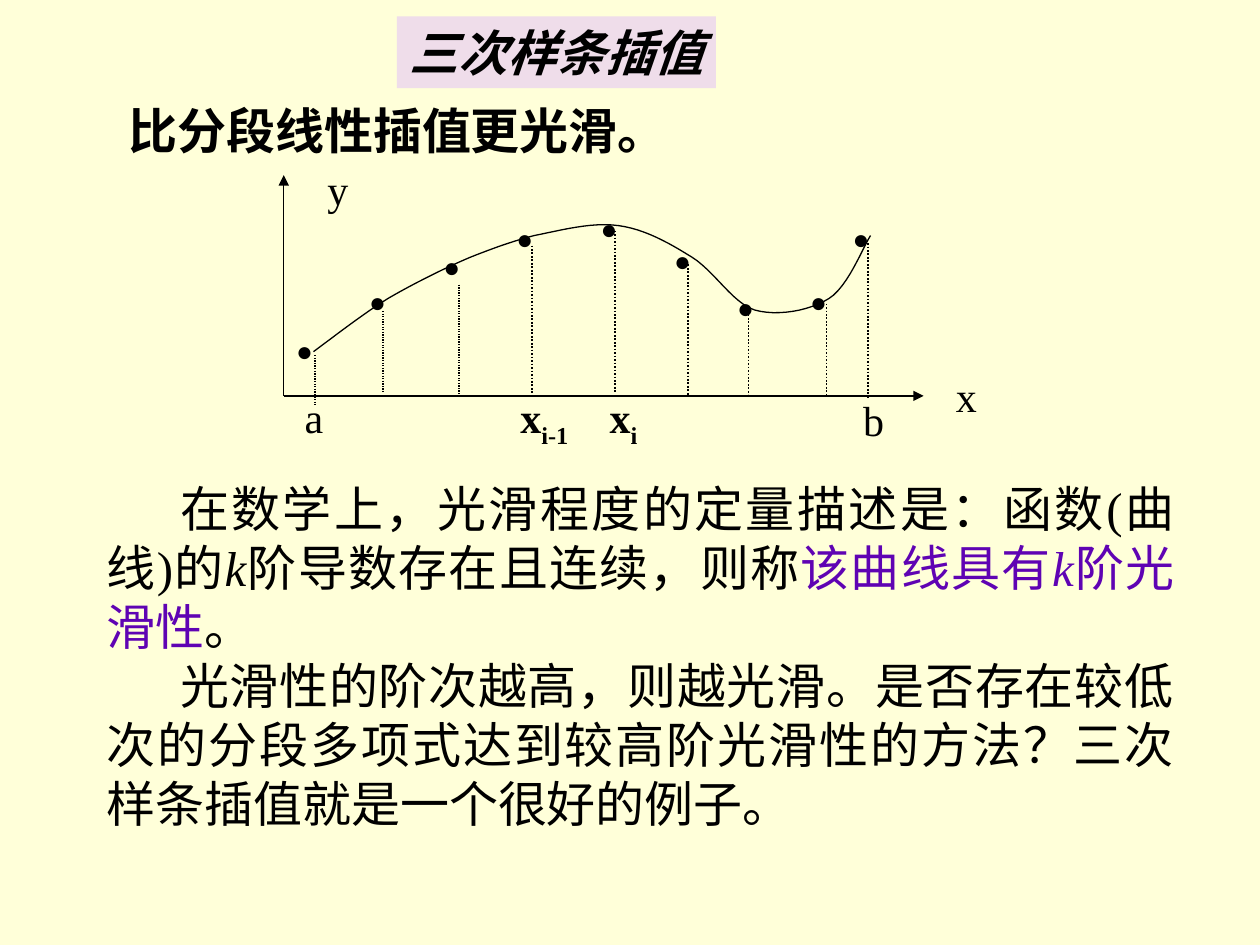
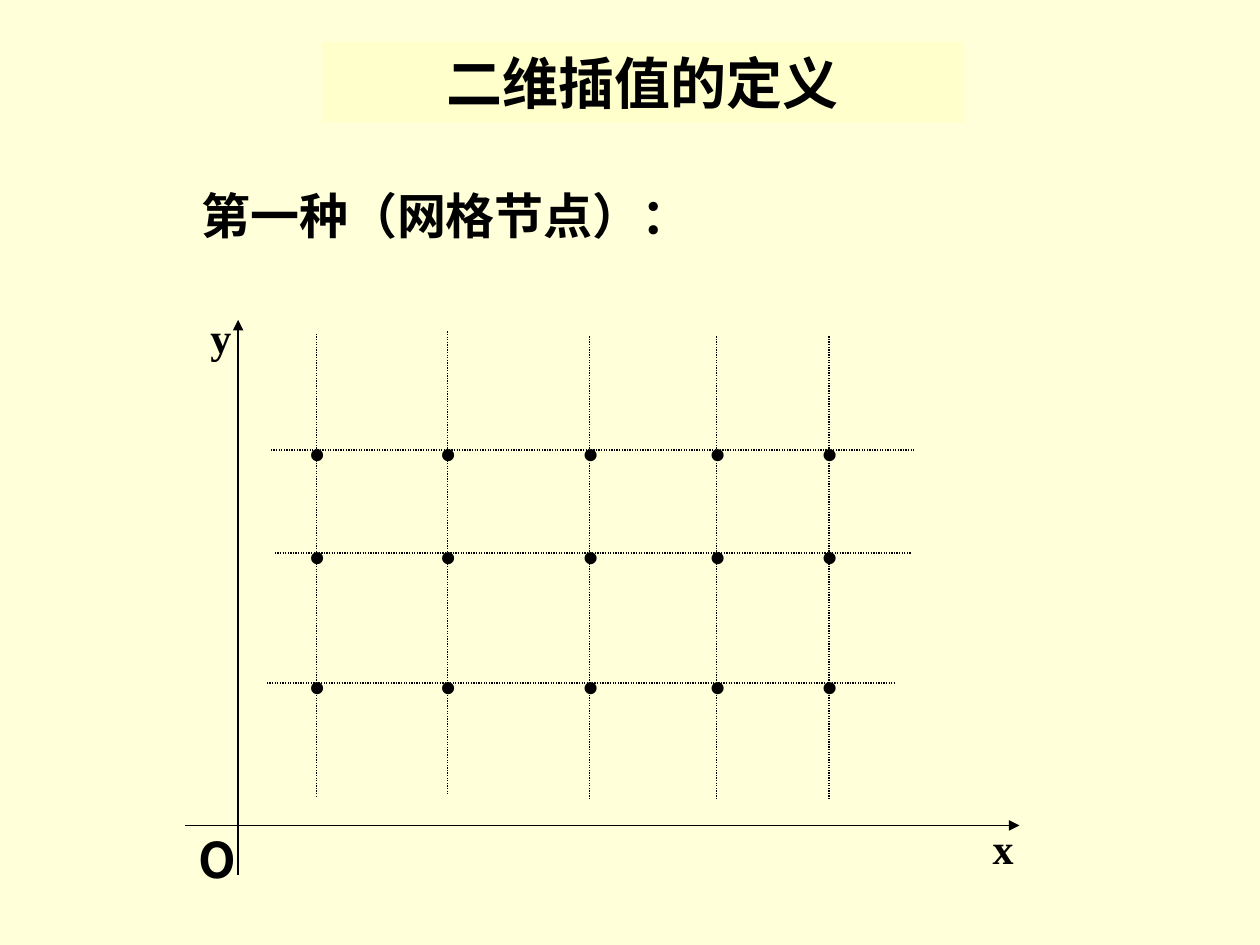
from lxml.etree import SubElement
from pptx import Presentation
from pptx.dml.color import RGBColor
from pptx.enum.dml import MSO_LINE
from pptx.enum.shapes import MSO_CONNECTOR
from pptx.enum.text import MSO_ANCHOR, MSO_AUTO_SIZE, PP_ALIGN
from pptx.oxml.ns import qn
from pptx.util import Cm, Pt

BLACK, PURPLE, PAPER = "000000", "5F03B3", "FFFFD9"
SERIF, SANS, CHINESE, CHINESE_TITLE = "Times New Roman", "Arial", "Noto Sans CJK SC", "Noto Sans CJK JP"
PLAIN, ITALIC, SUBSCRIPT = "plain", "italic", "subscript"

SPLINE_TITLE = "三次样条插值"
SPLINE_HEADING = "比分段线性插值更光滑。"
SPLINE_BODY = [
    [("在数学上，光滑程度的定量描述是：函数(曲线)的", PLAIN, BLACK), ("k", ITALIC, BLACK),
     ("阶导数存在且连续，则称", PLAIN, BLACK), ("该曲线具有", PLAIN, PURPLE),
     ("k", ITALIC, PURPLE), ("阶光滑性", PLAIN, PURPLE), ("。", PLAIN, BLACK)],
    [("光滑性的阶次越高，则越光滑。是否存在较低次的分段多项式达到较高阶光滑性的方法？"
      "三次样条插值就是一个很好的例子。", PLAIN, BLACK)],
]
SPLINE_AXES = [(5.72, 7.98, 18.62, 7.98), (5.72, 7.98, 5.72, 3.53)]
SPLINE_LABELS = [("x", 19.02, 7.34), ("y", 6.35, 3.18), ("a", 5.89, 7.77), ("b", 17.15, 7.82)]
NODE_LABELS = [("i-1", 10.24), ("i", 12.04)]
SPLINE_DOTS = [(5.72, 6.6), (7.19, 5.61), (8.69, 4.9), (10.16, 4.34), (11.86, 4.14),
               (13.34, 4.78), (14.61, 5.74), (16.08, 5.61), (16.94, 4.34)]
THIN_DROPS = [(6.35, 7.16, 8.18), (7.72, 6.27, 7.9), (9.25, 5.74, 7.95)]
THICK_DROPS = [(10.72, 4.95, 8), (12.4, 4.65, 7.9), (13.87, 5.33, 8), (15.09, 6.27, 7.95),
               (16.66, 6.12, 7.95), (17.5, 4.9, 8.03)]
CURVE_START = (6.32, 7.09)
CURVE_SEGMENTS = [
    ((6.81, 6.73), (7.29, 6.35), (7.82, 6.02)),
    ((8.33, 5.72), (9.02, 5.38), (9.5, 5.18)),
    ((10.01, 4.98), (10.29, 4.88), (10.77, 4.75)),
    ((11.28, 4.65), (11.94, 4.47), (12.47, 4.55)),
    ((13, 4.62), (13.49, 4.9), (13.94, 5.18)),
    ((14.4, 5.46), (14.76, 6.1), (15.21, 6.25)),
    ((15.67, 6.38), (16.31, 6.27), (16.71, 6.02)),
    ((17.09, 5.79), (17.4, 4.98), (17.55, 4.75)),
]
CURVE_STEPS = 12

GRID_TITLE = "二维插值的定义"
GRID_HEADING = "第一种（网格节点）："
GRID_AXES = [(3.73, 16.64, 20.55, 16.64), (4.8, 17.63, 4.8, 6.45)]
GRID_LABELS = [("x", 19.76, 16.46), ("y", 3.99, 6.15)]
GRID_COLUMNS = [(6.38, 6.73, 16.05), (9.02, 6.68, 16), (11.89, 6.78, 16.1),
                (14.45, 6.78, 16.1), (16.71, 6.78, 16.1)]
GRID_ROWS = [(9.07, 5.46, 18.42), (11.15, 5.54, 18.36), (13.77, 5.38, 18.06)]
DOT_OFFSET = (0.38, 0.58)


def color(value):
    """Turn a hex string into a colour."""
    return RGBColor.from_string(value)


def style(paragraph, size, font=SERIF, bold=False, italic=False, chinese=CHINESE):
    """Set the font of a whole paragraph."""
    paragraph.font.name, paragraph.font.size = font, Pt(size)
    paragraph.font.bold, paragraph.font.italic = bold, italic
    paragraph.font.color.rgb = color(BLACK)
    defaults = paragraph._p.pPr.find(qn("a:defRPr"))
    SubElement(defaults, qn("a:ea")).set("typeface", chinese)


def add_run(paragraph, text, look=PLAIN, ink=BLACK):
    """Append one run with its own look and colour."""
    run = paragraph.add_run()
    run.text = text
    run.font.color.rgb = color(ink)
    if look == ITALIC:
        run.font.italic = True
    if look == SUBSCRIPT:
        run._r.get_or_add_rPr().set("baseline", "-25000")


def add_frame(slide, left, top, width, height):
    """Add an empty wrapping text box and return its text frame."""
    frame = slide.shapes.add_textbox(Cm(left), Cm(top), Cm(width), Cm(height)).text_frame
    frame.word_wrap = True
    return frame


def add_text(slide, text, left, top, size, width=1.9, height=1.27, **looks):
    """Add a text box with one evenly styled paragraph."""
    paragraph = add_frame(slide, left, top, width, height).paragraphs[0]
    paragraph.text = text
    style(paragraph, size, **looks)


def add_line(slide, x1, y1, x2, y2, width=0.75, dotted=False, arrow=False):
    """Draw a straight line, dotted or with an arrowhead at its end."""
    line = slide.shapes.add_connector(MSO_CONNECTOR.STRAIGHT, Cm(x1), Cm(y1), Cm(x2), Cm(y2))
    line.line.color.rgb = color(BLACK)
    line.line.width = Pt(width)
    if dotted:
        line.line.dash_style = MSO_LINE.ROUND_DOT
    properties = line._element.spPr
    if arrow:
        SubElement(properties.find(qn("a:ln")), qn("a:tailEnd")).set("type", "triangle")
    SubElement(properties, qn("a:effectLst"))


def add_axes(slide, axes):
    """Draw a pair of arrowed axes."""
    for ends in axes:
        add_line(slide, *ends, arrow=True)


def add_slide(presentation, title, box, fill, align, size, **looks):
    """Add a slide whose title stands on a coloured band."""
    slide = presentation.slides.add_slide(presentation.slide_layouts[5])
    shape = slide.shapes.title
    shape.left, shape.top, shape.width, shape.height = map(Cm, box)
    shape.fill.solid()
    shape.fill.fore_color.rgb = color(fill)
    frame = shape.text_frame
    frame.text = title
    frame.auto_size = MSO_AUTO_SIZE.NONE
    frame.vertical_anchor = MSO_ANCHOR.MIDDLE
    frame.paragraphs[0].alignment = align
    style(frame.paragraphs[0], size, bold=True, **looks)
    return slide


def add_curve(slide):
    """Draw the spline by sampling its cubic segments."""
    start, points = CURVE_START, []
    for control_1, control_2, end in CURVE_SEGMENTS:
        for step in range(1, CURVE_STEPS + 1):
            t = step / CURVE_STEPS
            weights = ((1 - t) ** 3, 3 * t * (1 - t) ** 2, 3 * t * t * (1 - t), t ** 3)
            points.append(tuple(
                Cm(sum(weight * value for weight, value in zip(weights, values)))
                for values in zip(start, control_1, control_2, end)))
        start = end
    builder = slide.shapes.build_freeform(*map(Cm, CURVE_START))
    builder.add_line_segments(points, close=False)
    curve = builder.convert_to_shape()
    curve.shadow.inherit = False
    curve.fill.background()
    curve.line.color.rgb = color(BLACK)
    curve.line.width = Pt(0.75)


def build_spline_slide(presentation):
    """Show the smooth curve and explain its order of smoothness."""
    slide = add_slide(presentation, SPLINE_TITLE, (8, 0.33, 6.43, 1.45), "EFDDEA", PP_ALIGN.LEFT, 28,
                      font=CHINESE_TITLE, chinese=CHINESE_TITLE, italic=True)
    add_text(slide, SPLINE_HEADING, 2.34, 1.9, 28, 20.75, 1.45, bold=True)
    for left, top in SPLINE_DOTS:
        add_text(slide, "●", left, top, 16, 1.7, 0.94, font=SANS, chinese=SANS)
    add_axes(slide, SPLINE_AXES)
    add_curve(slide)
    for drops, width in ((THIN_DROPS, 0.75), (THICK_DROPS, 1)):
        for x, top, bottom in drops:
            add_line(slide, x, top, x, bottom, width, dotted=True)
    for text, left, top in SPLINE_LABELS:
        add_text(slide, text, left, top, 24)
    for index, left in NODE_LABELS:
        paragraph = add_frame(slide, left, 7.77, 1.9, 1.42).paragraphs[0]
        style(paragraph, 24, bold=True)
        add_run(paragraph, "x")
        add_run(paragraph, index, SUBSCRIPT)
    frame = add_frame(slide, 1.9, 9.53, 22.02, 7.37)
    for number, runs in enumerate(SPLINE_BODY):
        paragraph = frame.add_paragraph() if number else frame.paragraphs[0]
        paragraph.alignment = PP_ALIGN.JUSTIFY
        style(paragraph, 28)
        paragraph._p.pPr.set("indent", str(Cm(1.48)))
        for run in runs:
            add_run(paragraph, *run)


def build_grid_slide(presentation):
    """Show the nodes where the grid lines cross."""
    slide = add_slide(presentation, GRID_TITLE, (6.5, 0.84, 12.93, 1.63), "FFFFCC", PP_ALIGN.CENTER, 32)
    add_axes(slide, GRID_AXES)
    for x, top, bottom in GRID_COLUMNS:
        add_line(slide, x, top, x, bottom, dotted=True)
    for y, left, right in GRID_ROWS:
        add_line(slide, left, y, right, y, dotted=True)
        for x, _, _ in GRID_COLUMNS:
            add_text(slide, "•", x - DOT_OFFSET[0], y - DOT_OFFSET[1], 24, 1.55,
                     font=SANS, chinese=SANS, bold=True)
    for text, left, top in GRID_LABELS:
        add_text(slide, text, left, top, 24, bold=True)
    add_text(slide, "O", 3.76, 16.59, 28, 1.5, 1.45, font=CHINESE, bold=True)
    add_text(slide, GRID_HEADING, 3.81, 3.61, 28, 10.16, 1.45, bold=True)


def main():
    """Build and save both slides."""
    presentation = Presentation()
    presentation.slide_width, presentation.slide_height = Cm(25.4), Cm(19.05)
    background = presentation.slide_master.background.fill
    background.solid()
    background.fore_color.rgb = color(PAPER)
    build_spline_slide(presentation)
    build_grid_slide(presentation)
    presentation.save("out.pptx")


if __name__ == "__main__":
    main()
